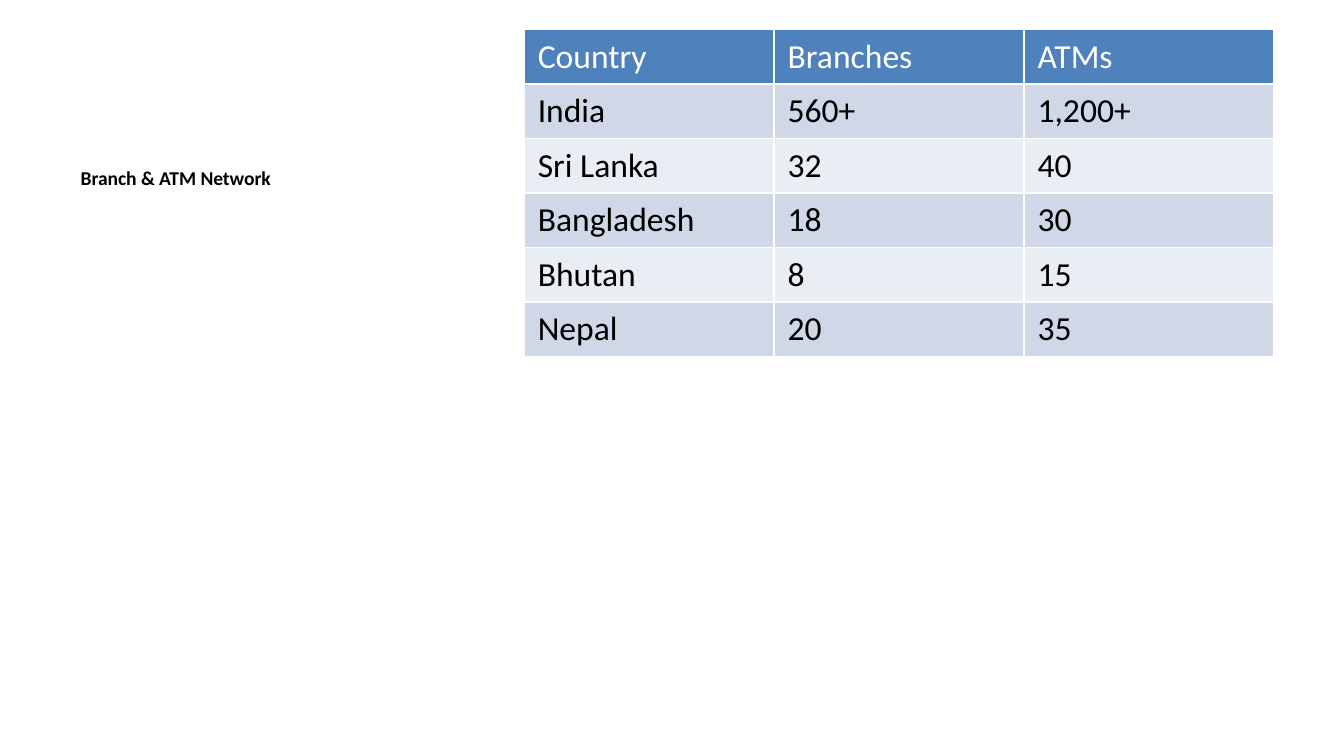
from typing import NamedTuple

from lxml.etree import SubElement
from pptx import Presentation
from pptx.dml.color import RGBColor
from pptx.enum.text import MSO_ANCHOR as Anchor, PP_ALIGN as Align
from pptx.oxml.ns import qn
from pptx.util import Cm, Pt

WHITE = RGBColor(0xFF, 0xFF, 0xFF)
BLACK = RGBColor(0, 0, 0)
BLUE = RGBColor(0x4F, 0x81, 0xBD)
BANDS = (RGBColor(0xD0, 0xD8, 0xE8), RGBColor(0xE9, 0xED, 0xF4))


class Row(NamedTuple):
    country: str
    branches: str
    atms: str


HEAD = Row("Country", "Branches", "ATMs")
ROWS = [
    Row("India", "560+", "1,200+"),
    Row("Sri Lanka", "32", "40"),
    Row("Bangladesh", "18", "30"),
    Row("Bhutan", "8", "15"),
    Row("Nepal", "20", "35"),
]


def write(frame, text: str, *, size: float, color: RGBColor, bold: bool = False) -> None:
    """Put one left-aligned paragraph into a text frame."""
    frame.text = text
    para = frame.paragraphs[0]
    para.alignment = Align.LEFT
    font = para.runs[0].font
    font.name, font.size, font.bold = "Calibri", Pt(size), bold
    font.color.rgb = color


def border(cell, color: RGBColor, width: float) -> None:
    """Draw a line on all four sides of a cell."""
    props = cell._tc.get_or_add_tcPr()
    for side in ("a:lnL", "a:lnR", "a:lnT", "a:lnB"):
        line = SubElement(props, qn(side), w=str(Pt(width)))
        fill = SubElement(line, qn("a:solidFill"))
        SubElement(fill, qn("a:srgbClr"), val=str(color))


def draw_row(table, index: int, row: Row, fill: RGBColor, color: RGBColor) -> None:
    for col, text in enumerate(row):
        cell = table.cell(index, col)
        border(cell, WHITE, 1)
        cell.fill.solid()
        cell.fill.fore_color.rgb = fill
        write(cell.text_frame, text, size=18, color=color)


def main() -> None:
    deck = Presentation()
    deck.slide_width, deck.slide_height = Cm(25.4), Cm(14.29)
    slide = deck.slides.add_slide(deck.slide_layouts[5])

    # Title
    title = slide.shapes.title
    title.left, title.top = Cm(1.27), Cm(3)
    title.width, title.height = Cm(8.36), Cm(9.78)
    title.text_frame.word_wrap = True
    title.text_frame.vertical_anchor = Anchor.TOP
    write(title.text_frame, "Branch & ATM Network", size=10.5, color=BLACK, bold=True)

    # Network table
    count = len(ROWS) + 1
    table = slide.shapes.add_table(
        count, len(HEAD), Cm(9.91), Cm(0.56), Cm(14.17), Cm(1.03) * count
    ).table
    draw_row(table, 0, HEAD, BLUE, WHITE)
    for i, row in enumerate(ROWS):
        draw_row(table, i + 1, row, BANDS[i % 2], BLACK)

    deck.save("out.pptx")


if __name__ == "__main__":
    main()
